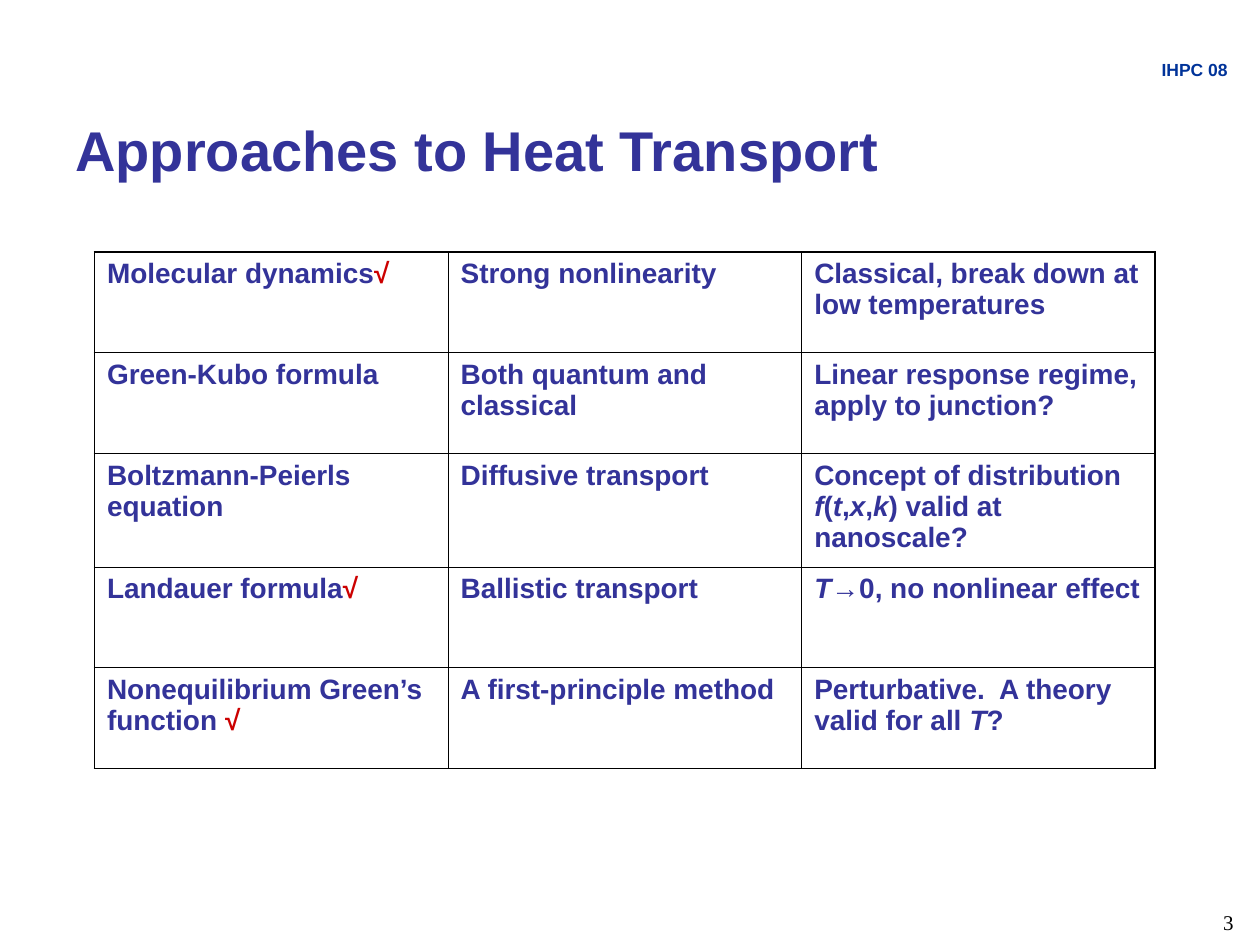
from lxml.etree import SubElement
from pptx import Presentation
from pptx.dml.color import RGBColor
from pptx.enum.text import MSO_ANCHOR, PP_ALIGN
from pptx.oxml.ns import qn
from pptx.util import Inches, Pt

COLORS = {"navy": "333399", "blue": "003399", "red": "CC0000", "black": "000000"}
THIN, THICK = 0.45, 1.08

# Asterisks enclose italic text; a check mark is drawn in red.
APPROACHES = [
    ["Molecular dynamics√", "Strong nonlinearity",
     "Classical, break down at low temperatures"],
    ["Green-Kubo formula", "Both quantum and classical",
     "Linear response regime, apply to junction?"],
    ["Boltzmann-Peierls equation", "Diffusive transport",
     "Concept of distribution *f*(*t*,*x*,*k*) valid at nanoscale?"],
    ["Landauer formula√", "Ballistic transport",
     "*T*→0, no nonlinear effect"],
    ["Nonequilibrium Green’s function √", "A first-principle method",
     "Perturbative.  A theory valid for all *T*?"],
]
ROW_HEIGHTS = [0.8, 0.8, 0.9, 0.8, 0.8]


def rgb(name):
    return RGBColor.from_string(COLORS[name])


class SlideBuilder:
    def __init__(self, page, font="Arial"):
        self.page = page
        self.font = font

    def fill_text(self, frame, text, size, color, bold=True, font=None,
                  align=PP_ALIGN.LEFT):
        para = frame.paragraphs[0]
        para.alignment = align
        para.font.name = font or self.font
        para.font.size = Pt(size)
        para.font.bold = bold
        para.font.color.rgb = rgb(color)
        for index, part in enumerate(text.split("*")):
            plain, mark, _ = part.partition("√")
            if plain:
                span = para.add_run()
                span.text = plain
                if index % 2:
                    span.font.italic = True
            if mark:
                span = para.add_run()
                span.text = mark
                span.font.color.rgb = rgb("red")

    def text(self, left, top, width, height, text, size, color,
             anchor=MSO_ANCHOR.TOP, **style):
        box = self.page.shapes.add_textbox(
            Inches(left), Inches(top), Inches(width), Inches(height))
        frame = box.text_frame
        frame.word_wrap = True
        frame.vertical_anchor = anchor
        self.fill_text(frame, text, size, color, **style)

    def border(self, cell, widths):
        properties = cell._tc.get_or_add_tcPr()
        for index, (side, width) in enumerate(widths.items()):
            line = SubElement(properties, qn(f"a:ln{side}"), w=str(int(Pt(width))))
            fill = SubElement(line, qn("a:solidFill"))
            SubElement(fill, qn("a:srgbClr"), val=COLORS["black"])
            properties.insert(index, line)

    def table(self, left, top, width, row_heights, rows, size, color):
        last_row, last_column = len(rows) - 1, len(rows[0]) - 1
        table = self.page.shapes.add_table(
            len(rows), len(rows[0]), Inches(left), Inches(top),
            Inches(width), Inches(sum(row_heights))).table
        table.first_row = table.horz_banding = False
        for r, (height, texts) in enumerate(zip(row_heights, rows)):
            table.rows[r].height = Inches(height)
            for c, text in enumerate(texts):
                cell = table.cell(r, c)
                cell.fill.background()
                self.fill_text(cell.text_frame, text, size, color)
                # Thick lines on the outside, thin lines within
                outer = {"L": c == 0, "R": c == last_column,
                         "T": r == 0, "B": r == last_row}
                self.border(cell, {side: THICK if edge else THIN
                                   for side, edge in outer.items()})


def main():
    deck = Presentation()
    deck.slide_width, deck.slide_height = Inches(10), Inches(7.5)
    slide = SlideBuilder(deck.slides.add_slide(deck.slide_layouts[6]))

    # Conference label and title
    slide.text(0.17, 0.42, 9.67, 0.27, "IHPC 08", 10, "blue",
               align=PP_ALIGN.RIGHT)
    slide.text(0.5, 0.75, 9, 0.86, "Approaches to Heat Transport", 32, "navy",
               anchor=MSO_ANCHOR.MIDDLE)

    # Comparison of methods
    slide.table(0.75, 2, 8.42, ROW_HEIGHTS, APPROACHES, 16, "navy")

    # Page number
    slide.text(7.58, 7.17, 2.31, 0.55, "3", 12, "black", bold=False,
               font="Times New Roman", align=PP_ALIGN.RIGHT)

    deck.save("out.pptx")


if __name__ == "__main__":
    main()
